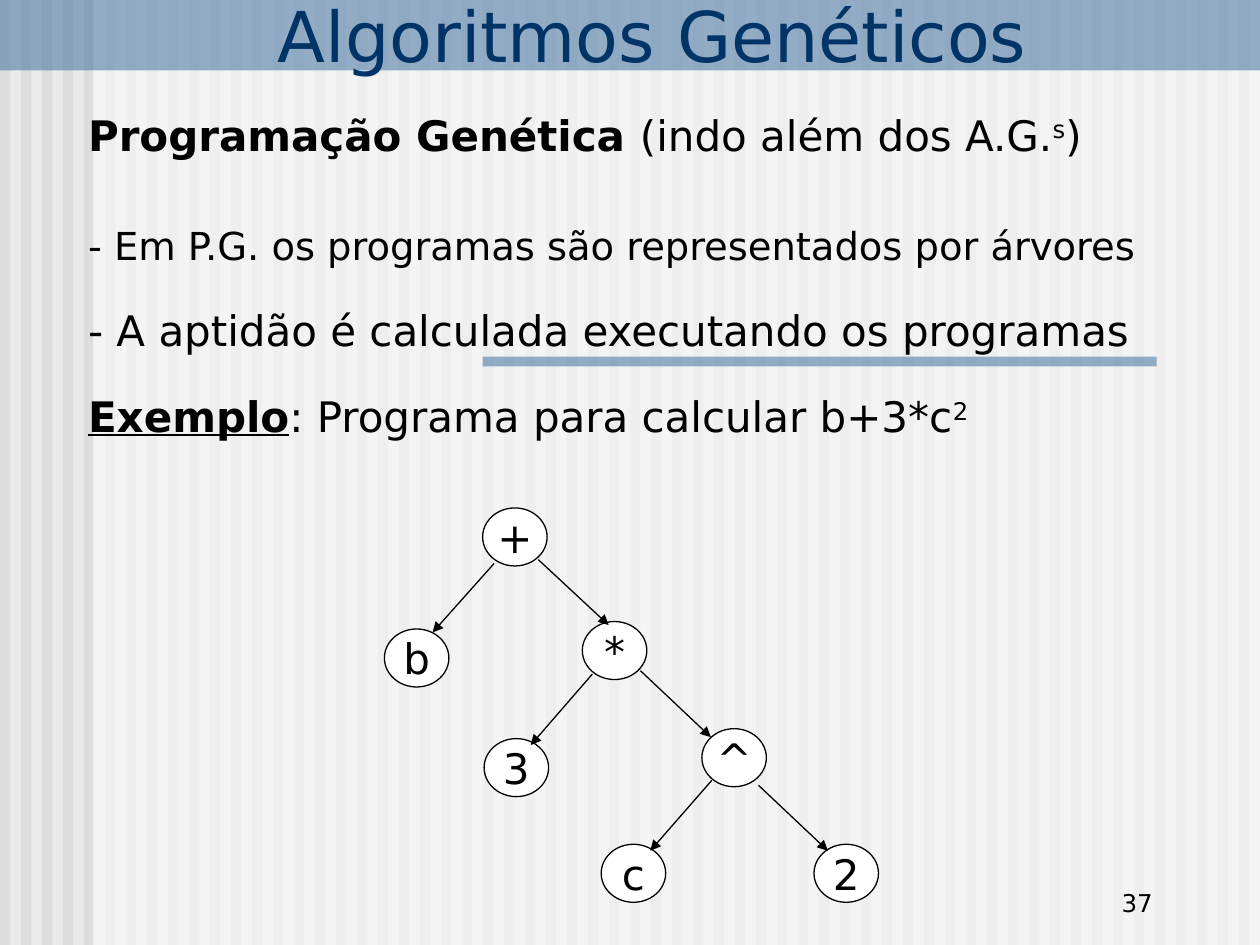
from lxml import etree
from pptx import Presentation
from pptx import util as u
from pptx.dml import color
from pptx.enum import shapes, text
from pptx.oxml import ns

HUES = {"back": "EAEAEA", "stripe": "DDDDDD", "white": "FFFFFF",
        "blue": "336699", "title": "003366", "black": "000000"}
FONT = "DejaVu Sans"
WIDE, HIGH = 25.4, 19.05


def hue(name):
    return color.RGBColor.from_string(HUES[name])


def place(item, box):
    item.left, item.top, item.width, item.height = [u.Cm(v) for v in box]


def child(node, tag, **attrs):
    return etree.SubElement(node, ns.qn(tag), attrs)


def plate(slide, box, fill, alpha=None, kind=shapes.MSO_SHAPE.RECTANGLE):
    item = slide.shapes.add_shape(kind, *[u.Cm(v) for v in box])
    item.shadow.inherit = False
    item.fill.solid()
    item.fill.fore_color.rgb = hue(fill)
    item.line.fill.background()
    if alpha:
        tint = item.fill._xPr.find(".//" + ns.qn("a:srgbClr"))
        child(tint, "a:alpha", val=str(alpha * 1000))
    return item


def write(para, words, size, ink="black", bold=False, line=False, lift=0):
    run = para.add_run()
    run.text = words
    font = run.font
    font.name, font.size = FONT, u.Pt(size)
    font.bold, font.underline = bold, line
    font.color.rgb = hue(ink)
    if lift:
        run._r.get_or_add_rPr().set("baseline", str(lift * 1000))


def frame(item, anchor, wrap=True):
    body = item.text_frame
    body.auto_size = text.MSO_AUTO_SIZE.NONE
    body.word_wrap = wrap
    body.vertical_anchor = anchor
    return body


def decor(slide, box):
    left, top, wide, high = box
    step = wide / 60
    for i in range(60):
        plate(slide, (left + i * step, top, step / 2, high), "stripe")
    plate(slide, (left + 1.88, top, wide - 1.88, high), "white", 50)
    plate(slide, (left, top, wide, 1.42), "blue", 50)
    plate(slide, (left + 9.73, top + 7.19, 13.59, 0.2), "blue", 50)


def number(slide, box):
    item = slide.shapes.add_textbox(*[u.Cm(v) for v in box])
    para = frame(item, text.MSO_ANCHOR.BOTTOM).paragraphs[0]
    para.alignment = text.PP_ALIGN.RIGHT
    write(para, "37", 14)


def title(slide, box):
    item = slide.shapes.title
    place(item, box)
    para = frame(item, text.MSO_ANCHOR.BOTTOM).paragraphs[0]
    para.alignment = text.PP_ALIGN.RIGHT
    write(para, "Algoritmos Genéticos", 40, "title")
    slide.shapes._spTree.append(item._element)


def points(slide, box):
    item = slide.placeholders[1]
    place(item, box)
    body = frame(item, text.MSO_ANCHOR.TOP)
    rows = [
        (0, 1, [("Programação Genética ", 24, {"bold": True}),
                ("(indo além dos A.G.", 24, {}),
                ("s", 24, {"lift": 30}), (")", 24, {})]),
        (30, 1.2, [("- Em P.G. os programas são representados por árvores", 22, {})]),
        (15, 1.2, [("- A aptidão é calculada executando os programas", 24, {})]),
        (15, 1.2, [("Exemplo", 24, {"bold": True, "line": True}),
                   (": Programa para calcular b+3*c", 24, {}),
                   ("2", 24, {"lift": 30})]),
    ]
    for i, (gap, lead, runs) in enumerate(rows):
        para = body.add_paragraph() if i else body.paragraphs[0]
        para.alignment = text.PP_ALIGN.JUSTIFY
        para.space_before, para.line_spacing = u.Pt(gap), lead
        props = para._p.get_or_add_pPr()
        props.set("marL", "0")
        props.set("indent", "0")
        child(props, "a:buNone")
        for words, size, style in runs:
            write(para, words, size, **style)
    slide.shapes._spTree.append(item._element)


def node(slide, box, label):
    item = plate(slide, box, "white", kind=shapes.MSO_SHAPE.OVAL)
    item.line.color.rgb = hue("black")
    item.line.width = u.Pt(0.75)
    para = frame(item, text.MSO_ANCHOR.MIDDLE, False).paragraphs[0]
    para.alignment = text.PP_ALIGN.CENTER
    write(para, label, 24)


def arrow(slide, ends):
    item = slide.shapes.add_connector(
        shapes.MSO_CONNECTOR.STRAIGHT, *[u.Cm(v) for v in ends])
    item.line.color.rgb = hue("black")
    item.line.width = u.Pt(0.75)
    child(item.line._get_or_add_ln(), "a:tailEnd", type="triangle")
    child(item._element.spPr, "a:effectLst")


def tree(slide, box):
    left, top, wide, high = box
    nodes = [("+", 1.98, 0), ("b", 0, 2.44), ("*", 3.99, 2.29), ("3", 2.01, 4.65),
             ("^", 6.4, 4.45), ("c", 4.37, 6.78), ("2", 8.66, 6.78)]
    edges = [(2.21, 1.12, 0.97, 2.51), (3.1, 1.04, 4.52, 2.36),
             (5.16, 3.28, 6.58, 4.62), (7.54, 5.59, 8.94, 6.91),
             (4.19, 3.35, 2.95, 4.78), (6.6, 5.49, 5.36, 6.91)]
    for label, x, y in nodes:
        node(slide, (left + x, top + y, wide - 8.66, high - 6.78), label)
    for x, y, tox, toy in edges:
        arrow(slide, (left + x, top + y, left + tox, top + toy))


def main():
    deck = Presentation()
    deck.slide_width, deck.slide_height = u.Cm(WIDE), u.Cm(HIGH)
    slide = deck.slides.add_slide(deck.slide_layouts[1])
    slide.background.fill.solid()
    slide.background.fill.fore_color.rgb = hue("back")
    decor(slide, (0, 0, WIDE, HIGH))
    number(slide, (18.21, 17.35, 5.28, 1.27))
    title(slide, (-0.64, -0.3, 21.59, 1.96))
    points(slide, (1.52, 2.08, 22.71, 8.71))
    tree(slide, (7.75, 10.24, 9.96, 7.95))
    deck.save("out.pptx")


if __name__ == "__main__":
    main()
